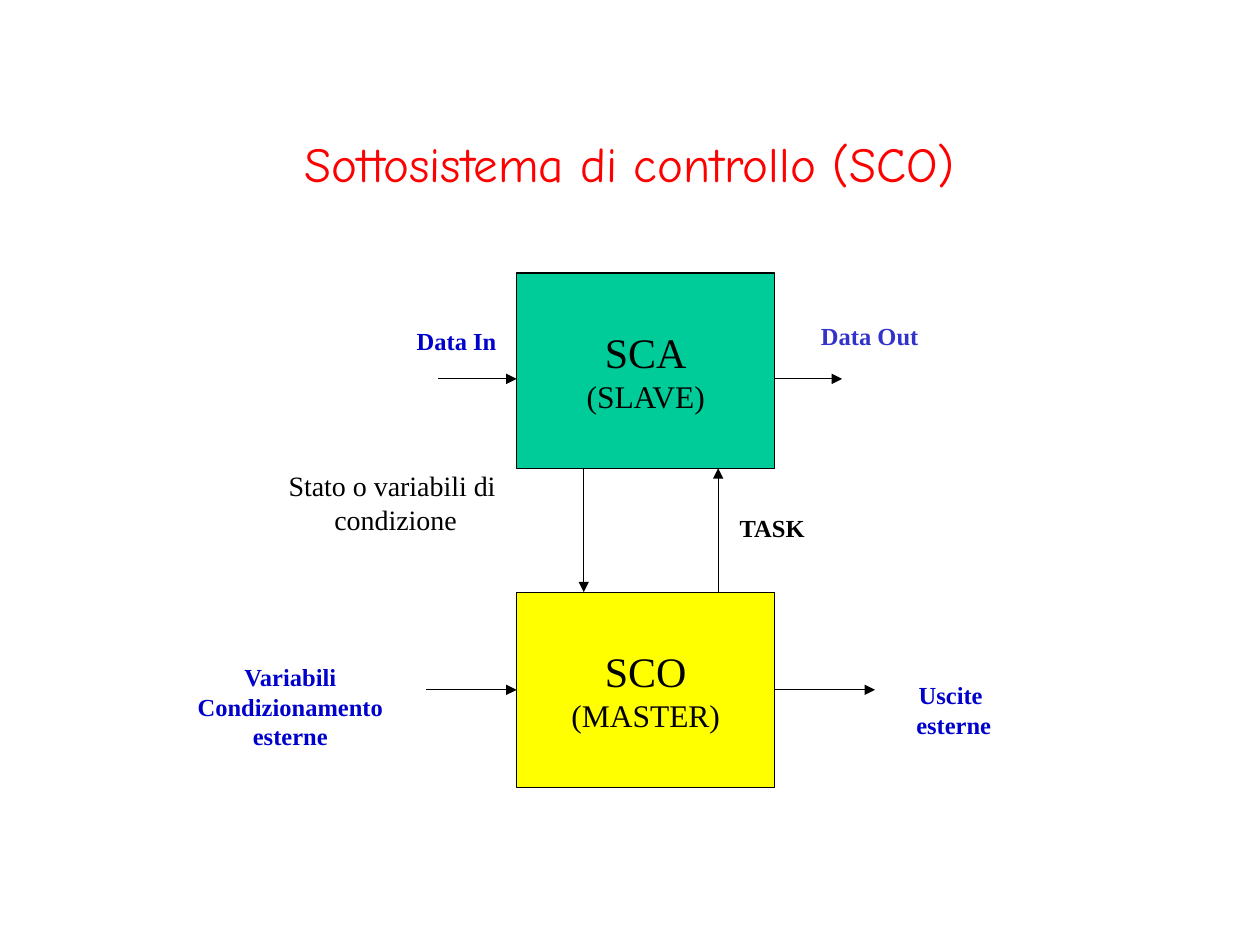
from lxml import etree
from pptx import Presentation
from pptx.dml.color import RGBColor
from pptx.enum.shapes import MSO_CONNECTOR, MSO_SHAPE
from pptx.enum.text import MSO_ANCHOR, MSO_AUTO_SIZE, PP_ALIGN
from pptx.oxml.ns import qn
from pptx.util import Pt

RECT = MSO_SHAPE.RECTANGLE
LINE = MSO_CONNECTOR.STRAIGHT
LEFT, MID = PP_ALIGN.LEFT, PP_ALIGN.CENTER
CENTER = MSO_ANCHOR.MIDDLE
GROW = MSO_AUTO_SIZE.SHAPE_TO_FIT_TEXT
SERIF, COMIC = "Times New Roman", "Comic Neue"
BLACK, BLUE = "000000", "0000CC"
SIDE_L, SIDE_R = 1, 3


def color(code):
    return RGBColor.from_string(code)


def write(frame, text, sizes, font=SERIF, ink=BLACK, bold=False, align=MID):
    lines = text.split("\n")
    for i, line in enumerate(lines):
        para = frame.paragraphs[0] if i == 0 else frame.add_paragraph()
        para.alignment = align
        run = para.add_run()
        run.text = line
        run.font.size = Pt(sizes[min(i, len(sizes) - 1)])
        run.font.name = font
        run.font.bold = bold
        run.font.color.rgb = color(ink)


def add_title(slide, box, text):
    title = slide.shapes.title
    title.left, title.top, title.width, title.height = map(Pt, box)
    title.text_frame.vertical_anchor = CENTER
    write(title.text_frame, text, [28], font=COMIC, ink="FF0000")


def add_block(slide, box, text, fill):
    block = slide.shapes.add_shape(RECT, *map(Pt, box))
    block.shadow.inherit = False
    block.fill.solid()
    block.fill.fore_color.rgb = color(fill)
    block.line.color.rgb = color(BLACK)
    block.line.width = Pt(0.75)
    frame = block.text_frame
    frame.word_wrap = False
    frame.vertical_anchor = CENTER
    write(frame, text, [24, 18])
    return block


def add_label(slide, box, text, size=14, **form):
    frame = slide.shapes.add_textbox(*map(Pt, box)).text_frame
    frame.word_wrap = False
    frame.auto_size = GROW
    write(frame, text, [size], **form)


def add_arrow(slide, start, end):
    arrow = slide.shapes.add_connector(LINE, *map(Pt, start + end))
    arrow.line.color.rgb = color(BLACK)
    arrow.line.width = Pt(0.75)
    stroke = arrow.line._get_or_add_ln()
    etree.SubElement(stroke, qn("a:tailEnd"), type="triangle")
    etree.SubElement(arrow._element.spPr, qn("a:effectLst"))
    return arrow


def add_scheme(slide, box):
    left, top, width, height = box
    right, tall = left + width, 111.6
    bottom = top + tall
    low = top + height - tall
    flow, mid = top + 60.5, low + tall / 2

    add_block(slide, (left, top, width, tall), "SCA\n(SLAVE)", "00CC99")
    master = add_block(slide, (left, low, width, tall), "SCO\n(MASTER)", "FFFF00")

    add_arrow(slide, (left - 45, flow), (left, flow))
    add_arrow(slide, (right, flow), (right + 38.4, flow))
    add_arrow(slide, (left + 38.4, bottom), (left + 38.4, low))
    add_arrow(slide, (right - 32.4, low), (right - 32.4, bottom))
    inlet = add_arrow(slide, (left - 51.6, mid), (left, mid))
    inlet.end_connect(master, SIDE_L)
    outlet = add_arrow(slide, (right, mid), (right + 57.2, mid))
    outlet.begin_connect(master, SIDE_R)


def add_notes(slide):
    bold = {"bold": True, "align": LEFT}
    add_label(slide, (231, 183, 60, 24.2), "Data In", ink=BLUE, **bold)
    add_label(slide, (462, 180, 70, 24.2), "Data Out", ink="3333CC", **bold)
    add_label(slide, (415.6, 289.5, 52.6, 24.2), "TASK", **bold)
    add_label(slide, (157.7, 264.2, 136.8, 46), "Stato o variabili di \ncondizione", size=16)
    add_label(slide, (105.8, 375, 123.8, 57.6), "Variabili \nCondizionamento \nesterne ",
              ink=BLUE, bold=True)
    add_label(slide, (514.8, 385.2, 60.5, 41), "Uscite \nesterne ", ink=BLUE, bold=True)


def main():
    deck = Presentation()
    deck.slide_width, deck.slide_height = Pt(720), Pt(540)
    slide = deck.slides.add_slide(deck.slide_layouts[5])
    add_title(slide, (54, 48, 612, 90), "Sottosistema di controllo (SCO)")
    add_scheme(slide, (295.2, 156, 147.6, 294))
    add_notes(slide)
    deck.save("out.pptx")


if __name__ == "__main__":
    main()
